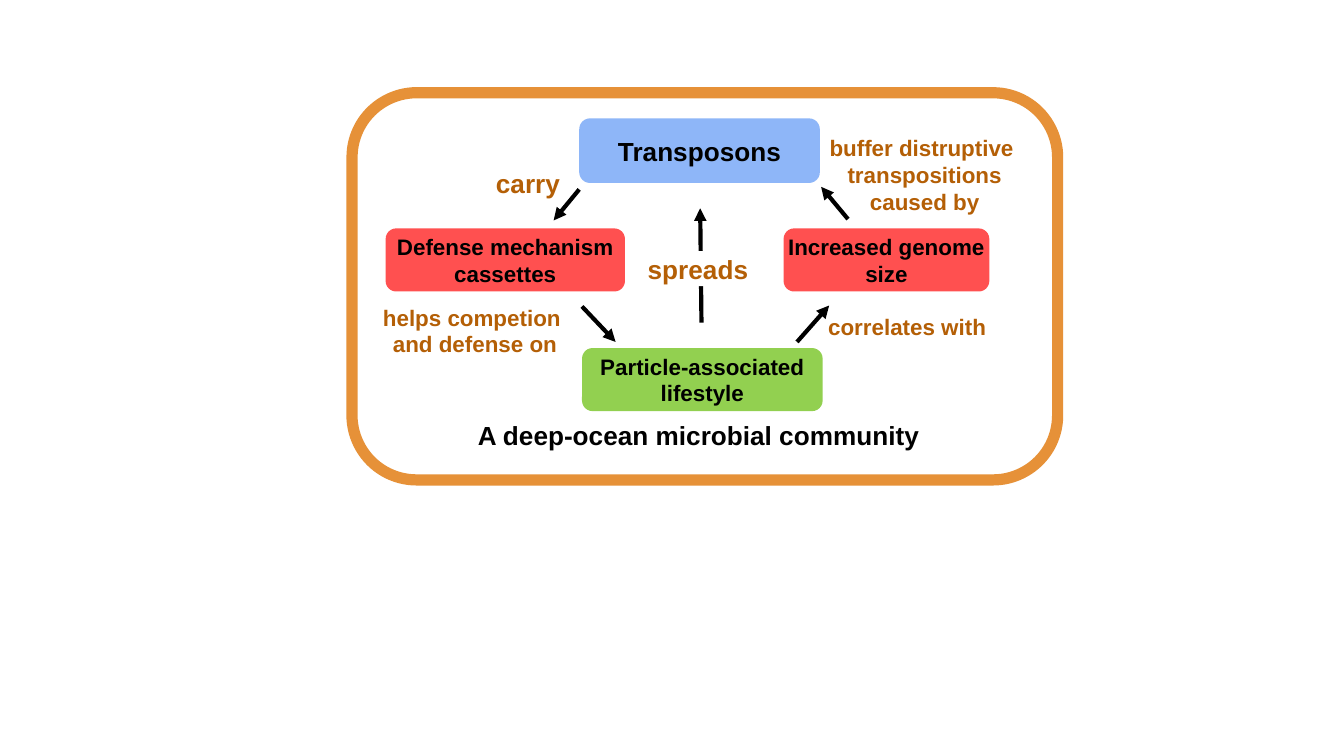
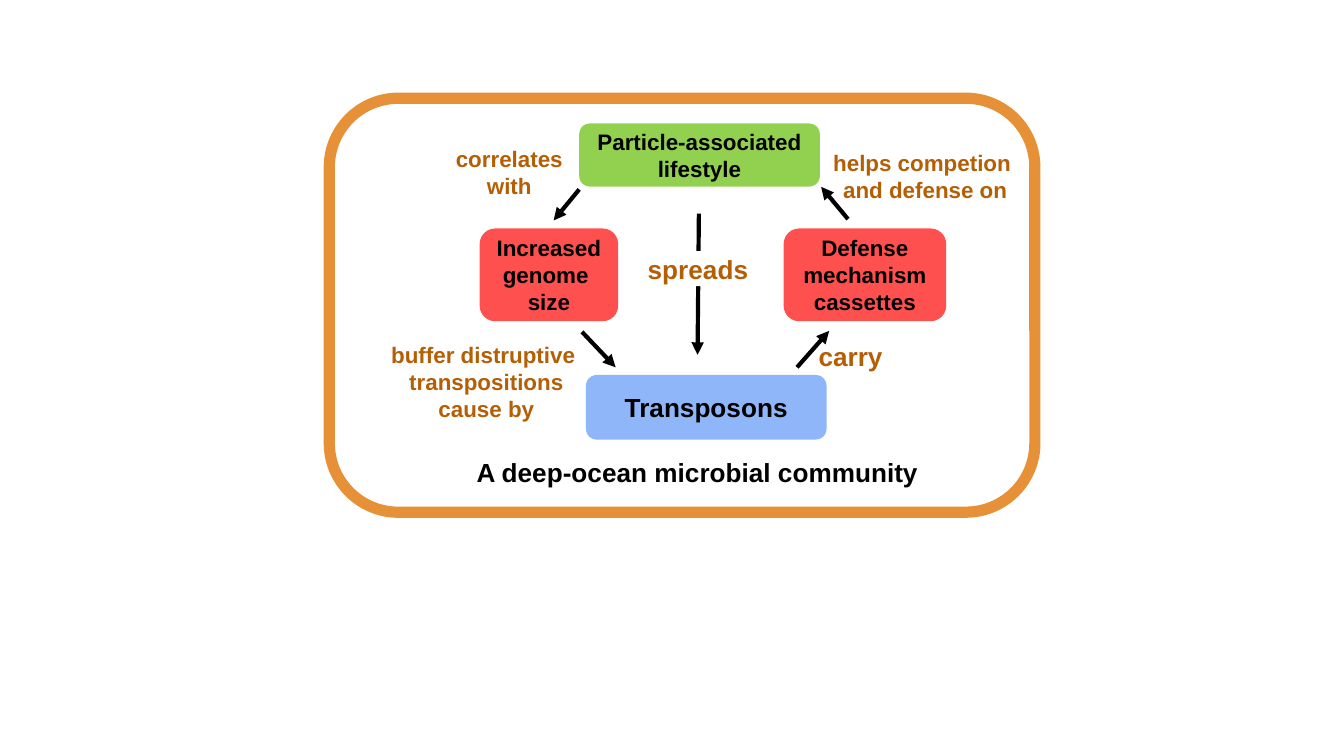
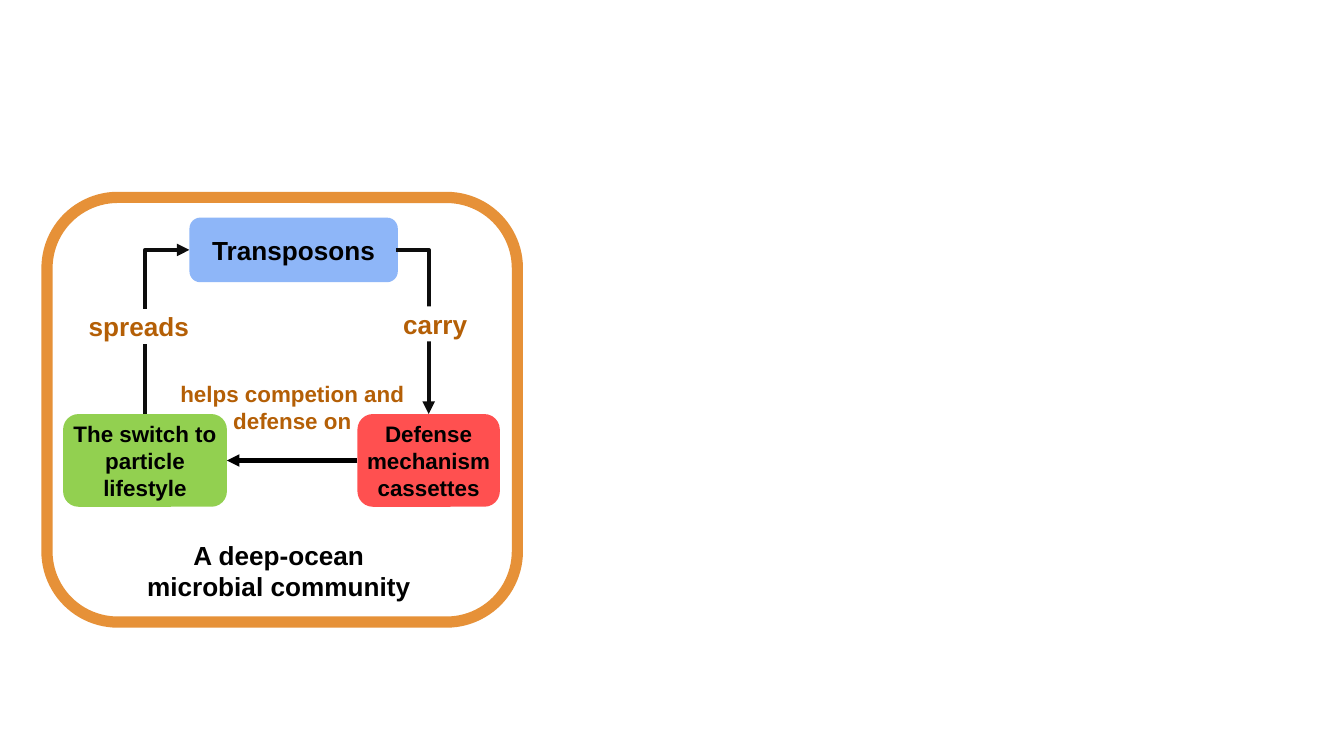
from dataclasses import dataclass

from pptx import Presentation
from pptx.dml.color import RGBColor
from pptx.enum.shapes import MSO_CONNECTOR as Link, MSO_SHAPE as Preset
from pptx.enum.text import MSO_ANCHOR as Anchor, MSO_AUTO_SIZE as Fit, PP_ALIGN as Align
from pptx.oxml import parse_xml
from pptx.oxml.ns import nsdecls, qn
from pptx.util import Pt


@dataclass(frozen=True)
class Theme:
    """Colours, type sizes and line widths shared by all slides."""
    font: str = "Arial"
    ink: str = "000000"
    bend: str = "0D0D0D"
    paper: str = "FFFFFF"
    relation: str = "B45F06"
    border: str = "E69138"
    lifestyle: str = "92D050"
    trait: str = "FF5050"
    transposon: str = "8EB6F8"
    small: float = 12
    large: float = 14
    border_width: float = 6
    arrow_width: float = 2.25


THEME = Theme()
HELPS = "helps competion \nand defense on"
DEFENSE = "Defense\nmechanism\ncassettes"
COMMUNITY = "A deep-ocean microbial community"


@dataclass(frozen=True)
class Panel:
    """A box on a slide; parts are placed from its top left corner."""
    slide: object
    left: float
    top: float
    width: float
    height: float

    def point(self, x, y):
        """Turn panel coordinates into slide lengths."""
        return Pt(self.left + x), Pt(self.top + y)


def colour(code):
    """Return the colour for a hex code."""
    return RGBColor.from_string(code)


def write(shape, text, size=THEME.small, ink=THEME.ink, align=Align.CENTER,
          anchor=Anchor.MIDDLE, inset=0.72):
    """Write bold text into a shape, one paragraph per line."""
    frame = shape.text_frame
    frame.word_wrap = True
    frame.auto_size = Fit.SHAPE_TO_FIT_TEXT
    frame.vertical_anchor = anchor
    frame.margin_left = frame.margin_right = Pt(inset)
    frame.margin_top = frame.margin_bottom = Pt(inset)
    frame.text = text
    for paragraph in frame.paragraphs:
        paragraph.alignment = align
        font = paragraph.runs[0].font
        font.name, font.size, font.bold = THEME.font, Pt(size), True
        font.color.rgb = colour(ink)


def block(panel, x, y, width, height, preset=Preset.ROUNDED_RECTANGLE, fill=None):
    """Add a flat shape without a line, filled if a colour is given."""
    shape = panel.slide.shapes.add_shape(preset, *panel.point(x, y), Pt(width), Pt(height))
    shape.shadow.inherit = False
    shape.line.fill.background()
    if fill:
        shape.fill.solid()
        shape.fill.fore_color.rgb = colour(fill)
    else:
        shape.fill.background()
    return shape


def border(panel):
    """Outline the whole panel."""
    outline = block(panel, 0, 0, panel.width, panel.height)
    outline.line.width = Pt(THEME.border_width)
    outline.line.color.rgb = colour(THEME.border)


def node(panel, text, x, y, width, height, fill):
    """Add a coloured node of the cycle."""
    write(block(panel, x, y, width, height, fill=fill), text)


def transposons(panel, x, y, width=128.9):
    """Add the transposon node."""
    write(block(panel, x, y, width, 34.6, fill=THEME.transposon), "Transposons",
          size=THEME.large, inset=7.2)


def caption(panel, x, y, width=299.5, height=23.8):
    """Name the community at the foot of the panel."""
    write(block(panel, x, y, width, height), COMMUNITY, size=THEME.large, inset=2.16)


def tag(panel, text, x, y, width):
    """Add a large relation label on a white patch."""
    patch = block(panel, x, y, width, 18.7, Preset.RECTANGLE, THEME.paper)
    write(patch, text, size=THEME.large, ink=THEME.relation, align=Align.LEFT)


def relation(panel, text, x, y, width, height):
    """Add a small relation label."""
    label = panel.slide.shapes.add_textbox(*panel.point(x, y), Pt(width), Pt(height))
    write(label, text, ink=THEME.relation, anchor=Anchor.TOP, inset=7.2)


def arrow(panel, start, end, kind=Link.STRAIGHT, ink=THEME.ink):
    """Add an arrow from start to end."""
    link = panel.slide.shapes.add_connector(kind, *panel.point(*start), *panel.point(*end))
    link.line.width = Pt(THEME.arrow_width)
    link.line.color.rgb = colour(ink)
    link.line._get_or_add_ln().append(parse_xml(f'<a:tailEnd {nsdecls("a")} type="triangle"/>'))
    link._element.spPr.append(parse_xml(f'<a:effectLst {nsdecls("a")}/>'))
    return link


def elbow(panel, start, end, upward=False):
    """Add an arrow with one corner, leaving sideways or upward."""
    if upward:
        middle_x, middle_y = (start[0] + end[0]) / 2, (start[1] + end[1]) / 2
        half_x, half_y = (start[1] - end[1]) / 2, (end[0] - start[0]) / 2
        start = middle_x + half_x, middle_y + half_y
        end = middle_x - half_x, middle_y - half_y
    properties = arrow(panel, start, end, Link.ELBOW, THEME.bend)._element.spPr
    properties.find(qn("a:prstGeom")).set("prst", "bentConnector2")
    if upward:
        properties.find(qn("a:xfrm")).set("rot", "5400000")


def cycle_arrows(panel, x, y, drop):
    """Add the four slanted arrows; drop separates the upper and lower pairs."""
    low = y + drop
    arrow(panel, (x, y), (x - 13.7, y + 16.6))
    arrow(panel, (x + 144, y + 15.9), (x + 129.6, y - 1.4))
    arrow(panel, (x + 1.5, low), (x + 19.5, low + 19))
    arrow(panel, (x + 116.7, low + 19), (x + 133.9, low - 0.5))


def transposon_first(panel):
    """Draw the cycle with transposons on top."""
    border(panel)
    node(panel, "Particle-associated lifestyle", 123.2, 136.8, 128.9, 33.8, THEME.lifestyle)
    node(panel, "Increased genome size", 231.2, 72.7, 110.2, 33.8, THEME.trait)
    node(panel, "Defense mechanism\ncassettes", 18, 72.7, 128.2, 33.8, THEME.trait)
    transposons(panel, 121.7, 13.7)
    caption(panel, 36, 171.3)
    arrow(panel, (187.2, 123.1), (186.5, 61.9))
    tag(panel, "spreads", 157.7, 84.9, 62.6)
    tag(panel, "carry", 76.4, 38.9, 38.2)
    cycle_arrows(panel, 121.7, 51.8, 62.7)
    relation(panel, HELPS, -7.2, 105.8, 146.2, 43.9)
    relation(panel, "correlates with", 242.7, 110.9, 109.4, 28.8)
    relation(panel, "buffer distruptive \ntranspositions\ncaused by", 238.4, 15.1, 136.8, 58.3)


def lifestyle_first(panel):
    """Draw the cycle with the particle-associated lifestyle on top."""
    border(panel)
    node(panel, "Particle-associated lifestyle", 133.9, 13.6, 128.9, 33.8, THEME.lifestyle)
    node(panel, DEFENSE, 243.4, 69.8, 87.1, 49.7, THEME.trait)
    node(panel, "Increased genome \nsize", 80.6, 69.8, 74.2, 49.7, THEME.trait)
    transposons(panel, 137.5, 148.3)
    caption(panel, 47.5, 188.6)
    arrow(panel, (198, 61.9), (197.3, 137.5))
    tag(panel, "spreads", 169.9, 82, 62.6)
    tag(panel, "carry", 261.4, 128.8, 38.2)
    cycle_arrows(panel, 133.9, 48.9, 76.3)
    relation(panel, HELPS, 246.2, 20.1, 146.2, 43.9)
    relation(panel, "correlates with", 58.3, 18, 76.3, 43.9)
    relation(panel, "buffer distruptive \ntranspositions\ncause by", 15.8, 123.1, 136.8, 58.3)


def short_cycle(panel):
    """Draw the three-node cycle with bent arrows."""
    elbow(panel, (52.6, 116), (76.3, 28.1), upward=True)
    border(panel)
    node(panel, "The switch to particle lifestyle", 8.6, 116, 87.8, 49.7, THEME.lifestyle)
    node(panel, DEFENSE, 166.3, 116, 76.3, 49.7, THEME.trait)
    arrow(panel, (166.3, 140.9), (96.4, 140.9))
    caption(panel, 43.9, 178.6, 160.6, 42.5)
    tag(panel, "spreads", 21.6, 59.8, 62.6)
    relation(panel, "helps competion and defense on", 58.3, 90.8, 146.2, 43.9)
    transposons(panel, 76.3, 10.8, 111.6)
    elbow(panel, (187.2, 28.1), (204.5, 116))
    tag(panel, "carry", 190.1, 58.4, 51.8)


def build():
    """Build and save the three slides."""
    deck = Presentation()
    deck.slide_width, deck.slide_height = Pt(720), Pt(405)
    for draw, box in (
        (transposon_first, (188.6, 49.7, 378, 207.4)),
        (lifestyle_first, (176.4, 52.6, 378, 221.8)),
        (short_cycle, (25.2, 105.8, 252, 227.5)),
    ):
        draw(Panel(deck.slides.add_slide(deck.slide_layouts[6]), *box))
    deck.save("out.pptx")


build()
